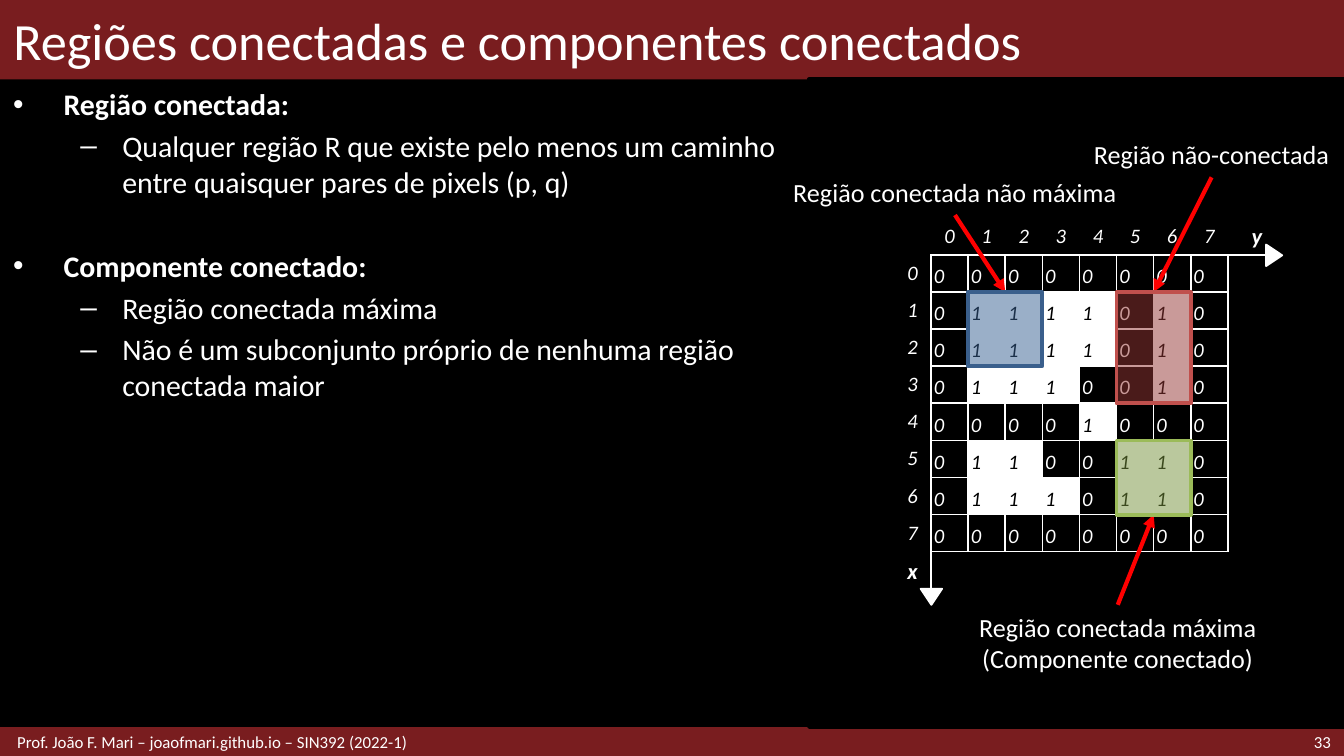
"""Build the slide on connected regions and connected components."""
from dataclasses import dataclass
from typing import Any

from lxml.etree import Element, SubElement
from pptx import Presentation
from pptx.dml.color import RGBColor
from pptx.enum.shapes import MSO_CONNECTOR, MSO_SHAPE
from pptx.enum.text import MSO_ANCHOR, PP_ALIGN
from pptx.oxml.ns import qn
from pptx.util import Pt

HUES = {
    "white": "FFFFFF", "black": "000000", "wine": "791D1F", "red": "FF0000",
    "blue": "376092", "navy": "3A5F8C", "brick": "953735", "rose": "C0504D",
    "moss": "77933C", "lime": "9BBB59",
}
WIDE, HIGH = 720, 405
LEFT, TOP, STEP = 478.9, 116.7, 19.88
HEAD, FOOT, SPLIT = 42.5, 390, 433.4
BITS = ("00000000", "01111010", "01111010", "01110010",
        "00001000", "01100110", "01110110", "00000000")
SIDES = {"lnL": (0, -1), "lnR": (0, 1), "lnT": (-1, 0), "lnB": (1, 0)}
AXES = {(0, 9, "lnB"), (1, 9, "lnT"), (9, 0, "lnR"), (9, 1, "lnL")}


@dataclass
class Box:
    x: float
    y: float
    w: float
    h: float

    def points(self) -> list:
        return [Pt(v) for v in (self.x, self.y, self.w, self.h)]


@dataclass
class Point:
    text: str
    level: int
    gap: float


@dataclass
class Region:
    row: int
    col: int
    rows: int
    cols: int
    fill: str
    edge: str
    label: str
    place: Box
    start: int
    end: int


POINTS = (
    Point("Região conectada:", 0, 0),
    Point("Qualquer região R que existe pelo menos um caminho "
          "entre quaisquer pares de pixels (p, q)", 1, 3.2),
    Point("Componente conectado:", 0, 25.8),
    Point("Região conectada máxima", 1, 3.2),
    Point("Não é um subconjunto próprio de nenhuma região conectada maior", 1, 3.2),
)
REGIONS = (
    Region(2, 2, 2, 2, "blue", "navy", "Região conectada não máxima",
           Box(416.9, 90.9, 189.4, 24.3), 2, 0),
    Region(2, 6, 3, 2, "brick", "rose", "Região não-conectada",
           Box(578.2, 70.7, 141.8, 24.3), 2, 0),
    Region(6, 6, 2, 2, "moss", "lime",
           "Região conectada máxima\n(Componente conectado)",
           Box(489, 324, 219.6, 41.2), 0, 2),
)


def tint(name: str) -> RGBColor:
    return RGBColor.from_string(HUES[name])


def style(item: Any, **form: Any) -> None:
    for key, value in form.items():
        setattr(item, key, value)


def ink(para: Any, size: float, hue: str = "white", **form: Any) -> None:
    for run in para.runs:
        style(run.font, size=Pt(size), name="Calibri", **form)
        run.font.color.rgb = tint(hue)


def block(slide: Any, box: Box, fill: str, edge: str, width: float,
          kind: Any = MSO_SHAPE.RECTANGLE, turn: float = 0) -> Any:
    shape = slide.shapes.add_shape(kind, *box.points())
    shape.shadow.inherit = False
    shape.rotation = turn
    shape.fill.solid()
    shape.fill.fore_color.rgb = tint(fill)
    shape.line.color.rgb = tint(edge)
    shape.line.width = Pt(width)
    return shape


def write(slide: Any, box: Box, text: str, size: float, align: Any,
          **form: Any) -> Any:
    shape = slide.shapes.add_textbox(*box.points())
    frame = shape.text_frame
    frame.text = text
    style(frame, **form)
    for para in frame.paragraphs:
        para.alignment = align
        ink(para, size)
    return shape


def outline(slide: Any) -> None:
    shape = slide.shapes.add_textbox(*Box(0, HEAD, 450.7, 347).points())
    shape.fill.solid()
    shape.fill.fore_color.rgb = tint("black")
    frame = shape.text_frame
    frame.word_wrap = True
    for num, point in enumerate(POINTS):
        para = frame.add_paragraph() if num else frame.paragraphs[0]
        para.text = point.text
        para.level = point.level
        props = para._p.get_or_add_pPr()
        props.set("marL", str(Pt((27, 58.5)[point.level])))
        props.set("indent", str(Pt((-27, -22.5)[point.level])))
        SubElement(props, qn("a:buFont")).set("typeface", "Arial")
        SubElement(props, qn("a:buChar")).set("char", "•–"[point.level])
        para.space_before = Pt(point.gap)
        ink(para, 16, bold=point.level == 0)


def inside(row: int, col: int) -> bool:
    return 1 <= row <= 8 and 1 <= col <= 8


def border(cell: Any, row: int, col: int) -> None:
    props = cell._tc.get_or_add_tcPr()
    for place, (side, (down, over)) in enumerate(SIDES.items()):
        line = Element(qn(f"a:{side}"), w=str(Pt(1)))
        if (inside(row, col) or inside(row + down, col + over)
                or (row, col, side) in AXES):
            solid = SubElement(line, qn("a:solidFill"))
            SubElement(solid, qn("a:srgbClr")).set("val", HUES["white"])
        else:
            SubElement(line, qn("a:noFill"))
        props.insert(place, line)


def value(row: int, col: int) -> str:
    if inside(row, col):
        return BITS[row - 1][col - 1]
    if row == 0 and col:
        return "01234567y"[col - 1]
    return "01234567x"[row - 1] if col == 0 and row else ""


def matrix(slide: Any) -> None:
    side = STEP * 10
    table = slide.shapes.add_table(10, 10, *Box(LEFT, TOP, side, side).points()).table
    style(table, first_row=False, horz_banding=False)
    for line in table.columns:
        line.width = Pt(STEP)
    for row, line in enumerate(table.rows):
        line.height = Pt(STEP)
        for col, cell in enumerate(line.cells):
            text = value(row, col)
            core = inside(row, col)
            lit = core and text == "1"
            cell.text = text
            low = core or text == "x"
            style(cell, margin_left=Pt(1.5), margin_right=Pt(1.5),
                  margin_top=Pt(1.5), margin_bottom=Pt(1.5),
                  vertical_anchor=MSO_ANCHOR.BOTTOM if low else MSO_ANCHOR.MIDDLE)
            if lit:
                cell.fill.solid()
                cell.fill.fore_color.rgb = tint("white")
            else:
                cell.fill.background()
            border(cell, row, col)
            para = cell.text_frame.paragraphs[0]
            para.alignment = (PP_ALIGN.LEFT if core else
                              PP_ALIGN.RIGHT if text == "y" else PP_ALIGN.CENTER)
            axis = text in ("x", "y")
            ink(para, 12 if axis else 11, "black" if lit else "white",
                italic=True, bold=axis)
            SubElement(para._p, qn("a:endParaRPr")).set("sz", "1100")


def region(slide: Any, item: Region) -> None:
    label = write(slide, item.place, item.label, 14, PP_ALIGN.CENTER, word_wrap=False)
    box = Box(LEFT + item.col * STEP, TOP + item.row * STEP,
              item.cols * STEP, item.rows * STEP)
    zone = block(slide, box, item.fill, item.edge, 2)
    shade = zone.element.find(".//" + qn("a:solidFill") + "/" + qn("a:srgbClr"))
    SubElement(shade, qn("a:alpha")).set("val", "50000")
    arrow = slide.shapes.add_connector(MSO_CONNECTOR.STRAIGHT, 0, 0, 0, 0)
    arrow.begin_connect(label, item.start)
    arrow.end_connect(zone, item.end)
    arrow.line.color.rgb = tint("red")
    arrow.line.width = Pt(2.25)
    SubElement(arrow.line._get_or_add_ln(), qn("a:tailEnd")).set("type", "triangle")
    SubElement(arrow.element.spPr, qn("a:effectLst"))
    zone.element.addprevious(arrow.element)


def main() -> None:
    deck = Presentation()
    style(deck, slide_width=Pt(WIDE), slide_height=Pt(HIGH))
    slide = deck.slides.add_slide(deck.slide_layouts[5])
    block(slide, Box(0, 0, WIDE, HEAD), "wine", "wine", 1)
    block(slide, Box(0, FOOT, WIDE, 15), "wine", "wine", 2)
    panel = block(slide, Box(SPLIT, HEAD, WIDE - SPLIT, 347), "black", "black", 2)
    title = slide.shapes.title
    style(title, **dict(zip(("left", "top", "width", "height"),
                            Box(0, 0, WIDE, HEAD).points())))
    title.text_frame.text = "Regiões conectadas e componentes conectados"
    title.text_frame.vertical_anchor = MSO_ANCHOR.MIDDLE
    title.text_frame.paragraphs[0].alignment = PP_ALIGN.LEFT
    ink(title.text_frame.paragraphs[0], 28)
    panel.element.addnext(title.element)
    outline(slide)
    form = {"word_wrap": True, "vertical_anchor": MSO_ANCHOR.MIDDLE}
    write(slide, Box(638, FOOT, 82, 15), "33", 9, PP_ALIGN.RIGHT, **form)
    write(slide, Box(0, FOOT, 496, 15),
          "Prof. João F. Mari – joaofmari.github.io – SIN392 (2022-1)",
          9, PP_ALIGN.LEFT, margin_left=Pt(9.2), **form)
    matrix(slide)
    for x, y, turn in ((676.8, 132.5, 90), (493.2, 315.4, 180)):
        block(slide, Box(x, y, 11.5, 8.6), "white", "white", 1,
              MSO_SHAPE.ISOSCELES_TRIANGLE, turn)
    for item in REGIONS:
        region(slide, item)
    deck.save("out.pptx")


if __name__ == "__main__":
    main()
